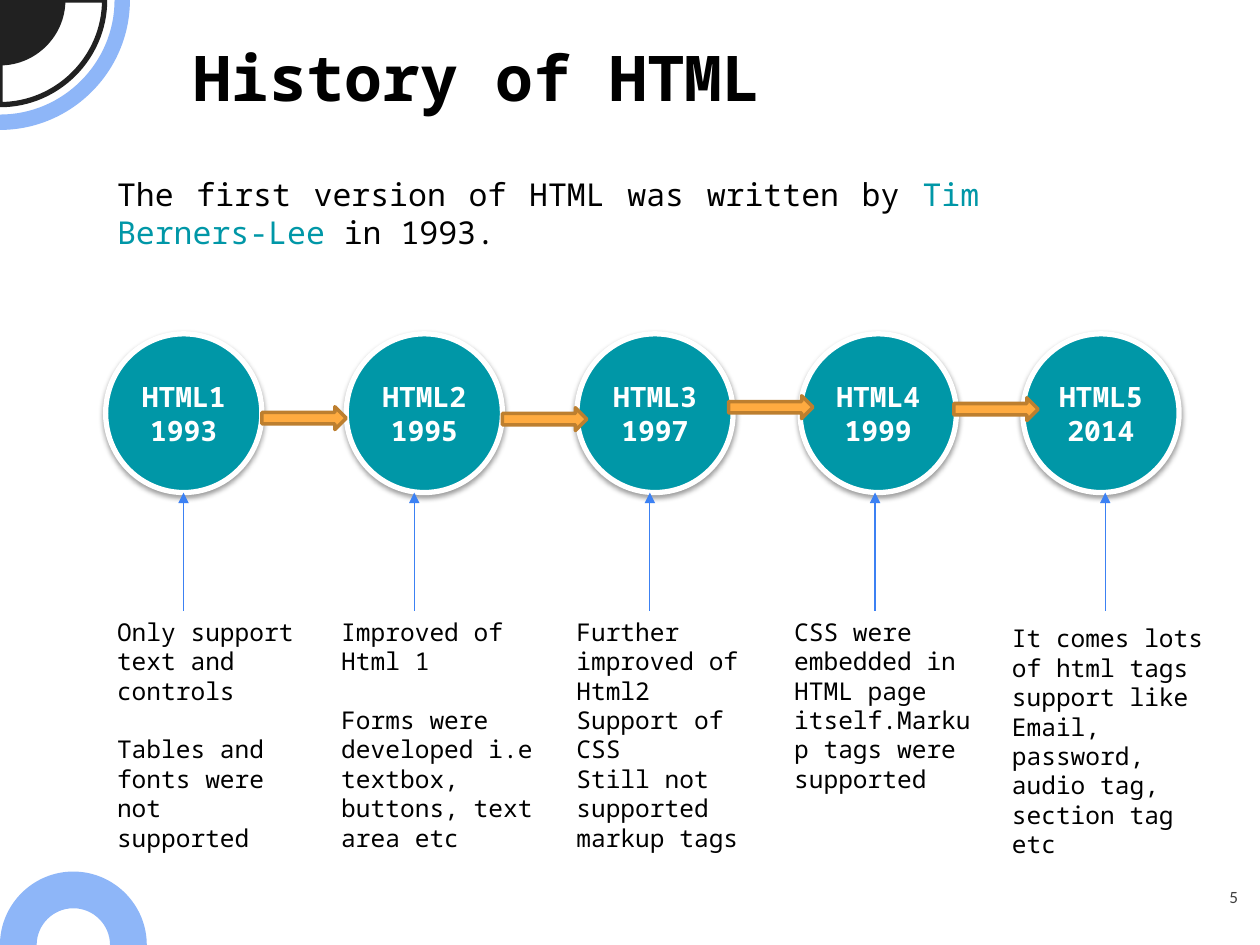
from dataclasses import dataclass
from math import cos, radians, sin

from lxml.etree import SubElement
from pptx import Presentation
from pptx.dml.color import RGBColor
from pptx.enum.shapes import MSO_CONNECTOR, MSO_SHAPE
from pptx.enum.text import MSO_ANCHOR, MSO_AUTO_SIZE, PP_ALIGN
from pptx.oxml.ns import qn
from pptx.util import Cm, Pt

BLACK = RGBColor(0x00, 0x00, 0x00)
WHITE = RGBColor(0xFF, 0xFF, 0xFF)
INK = RGBColor(0x21, 0x21, 0x21)
GREY = RGBColor(0x3F, 0x3F, 0x3F)
TEAL = RGBColor(0x00, 0x97, 0xA7)
SKY = RGBColor(0x8E, 0xB6, 0xF8)
BLUE = RGBColor(0x3C, 0x81, 0xF3)
AMBER = RGBColor(0xFF, 0xAB, 0x40)
BROWN = RGBColor(0xBD, 0x7F, 0x2F)
MONO = "Noto Sans Mono"

CIRCLE_TOP, CIRCLE_W, CIRCLE_H = 6.73, 3.15, 3.2
POINTER_TOP, POINTER_BOTTOM = 9.93, 12.31
QUARTER_HANDLE = 0.55  # Bézier handle of a quarter circle, in radii


@dataclass
class Version:
    name: str
    year: str
    circle_x: float
    pointer_x: float
    note_x: float
    note_w: float
    note_h: float
    note: list[str]
    note_y: float = POINTER_BOTTOM
    note_gap: float = 0


@dataclass
class Arrow:
    x: float
    y: float


VERSIONS = [
    Version("HTML1", "1993", 2.13, 3.7, 2.11, 4.19, 4.22,
            ["Only support text and controls",
             "Tables and fonts were not supported"], note_gap=16.8),
    Version("HTML2", "1995", 6.98, 8.35, 6.63, 4.75, 3.63,
            ["Improved of Html 1",
             "Forms were developed i.e textbox, buttons, text area etc"],
            note_gap=16.8),
    Version("HTML3", "1997", 11.63, 13.1, 11.37, 4.04, 4.22,
            ["Further improved of Html2", "Support of CSS",
             "Still not supported markup tags"]),
    Version("HTML4", "1999", 16.13, 17.64, 15.76, 4.24, 3.63,
            ["CSS were embedded in HTML page itself.Markup tags were supported"]),
    Version("HTML5", "2014", 20.62, 22.28, 20.15, 4.72, 3.63,
            ["It comes lots of html tags support like",
             "Email, password, audio tag, section tag etc"], note_y=12.44),
]
ARROWS = [Arrow(5.28, 8.2), Arrow(10.13, 8.22), Arrow(14.69, 7.98), Arrow(19.23, 8.02)]


def paint(sp, fill: RGBColor | None, line: RGBColor | None = None, width: float = 0) -> None:
    sp.shadow.inherit = False
    if fill is None:
        sp.fill.background()
    else:
        sp.fill.solid()
        sp.fill.fore_color.rgb = fill
    if line is None:
        sp.line.fill.background()
    else:
        sp.line.color.rgb = line
        sp.line.width = Pt(width)


def add_ring(s, cx: float, cy: float, outer: float, inner: float, start: int, end: int):
    """Ring sector of whole quarters, clockwise from the right; a pie if inner is 0."""
    def arc(radius: float, first: int, last: int) -> list[tuple[int, int]]:
        step = 90 if last > first else -90
        pull = QUARTER_HANDLE * step / 90

        def at(angle: int, along: float) -> tuple[int, int]:
            c, n = cos(radians(angle)), sin(radians(angle))
            return (Cm(cx + radius * (c - along * n)), Cm(cy + radius * (n + along * c)))

        points = [at(first, 0)]
        for a in range(first, last, step):
            points += [at(a, pull), at(a + step, -pull), at(a + step, 0)]
        return points

    rim = arc(outer, start, end)
    hole = arc(inner, end, start) if inner else [(Cm(cx), Cm(cy))]
    builder = s.shapes.build_freeform(*rim[0], scale=1.0)
    builder.add_line_segments(rim[1:] + hole, close=True)
    sp = builder.convert_to_shape()
    segments = list(sp._element.iter(qn("a:lnTo")))
    curve_to(segments[:len(rim) - 1])
    curve_to(segments[len(rim):len(rim) + len(hole) - 1])
    return sp


def curve_to(segments: list) -> None:
    """Turn each three line segments into one Bézier curve."""
    for i in range(0, len(segments), 3):
        first = segments[i]
        curve = first.getparent().makeelement(qn("a:cubicBezTo"))
        first.addprevious(curve)
        for segment in segments[i:i + 3]:
            curve.append(segment[0])
            segment.getparent().remove(segment)


def set_font(p, size: float, color: RGBColor | None, bold: bool = False,
             name: str = MONO) -> None:
    p.font.name, p.font.size, p.font.bold = name, Pt(size), bold
    if color is not None:
        p.font.color.rgb = color


def add_box(s, x: float, y: float, w: float, h: float):
    tf = s.shapes.add_textbox(Cm(x), Cm(y), Cm(w), Cm(h)).text_frame
    tf.word_wrap = True
    return tf


def add_lines(tf, lines: list[str]):
    tf.text = "\n".join(lines)
    return tf.paragraphs


def add_circle(s, v: Version) -> None:
    sp = s.shapes.add_shape(MSO_SHAPE.OVAL, Cm(v.circle_x), Cm(CIRCLE_TOP),
                            Cm(CIRCLE_W), Cm(CIRCLE_H))
    paint(sp, TEAL, WHITE, 3)
    effects = sp._element.spPr.find(qn("a:effectLst"))
    shadow = SubElement(effects, qn("a:outerShdw"), blurRad=str(Pt(3.1)),
                        dist=str(Pt(1.6)), dir="5400000", rotWithShape="0")
    color = SubElement(shadow, qn("a:srgbClr"), val=str(BLACK))
    SubElement(color, qn("a:alpha"), val="38000")
    sp.text_frame.vertical_anchor = MSO_ANCHOR.MIDDLE
    for p in add_lines(sp.text_frame, [v.name, v.year]):
        p.alignment = PP_ALIGN.CENTER
        set_font(p, 16, WHITE, bold=True)


def add_note(s, v: Version) -> None:
    tf = add_box(s, v.note_x, v.note_y, v.note_w, v.note_h)
    tf.auto_size = MSO_AUTO_SIZE.SHAPE_TO_FIT_TEXT
    for i, p in enumerate(add_lines(tf, v.note)):
        set_font(p, 14, BLACK)
        if i:
            p.space_before = Pt(v.note_gap)


def add_pointer(s, x: float) -> None:
    line = s.shapes.add_connector(MSO_CONNECTOR.STRAIGHT, Cm(x), Cm(POINTER_BOTTOM),
                                  Cm(x), Cm(POINTER_TOP))
    line.line.color.rgb = BLUE
    line.line.width = Pt(0.75)
    sp_pr = line._element.spPr
    SubElement(sp_pr.find(qn("a:ln")), qn("a:tailEnd"), type="triangle")
    SubElement(sp_pr, qn("a:effectLst"))


def add_arrow(s, arrow: Arrow) -> None:
    sp = s.shapes.add_shape(MSO_SHAPE.RIGHT_ARROW, Cm(arrow.x), Cm(arrow.y),
                            Cm(1.7), Cm(0.46))
    paint(sp, AMBER, BROWN, 2)


def add_decoration(s) -> None:
    paint(add_ring(s, 1.48, 19.05, 1.48, 0.74, 180, 360), SKY)
    paint(add_ring(s, 0, 0, 2.11, 0, 0, 90), None, INK, 3)
    paint(add_ring(s, 0, 0, 1.32, 0, 0, 90), INK)
    paint(add_ring(s, 0, 0, 2.62, 2.31, 0, 90), SKY)


def add_heading(s) -> None:
    tf = add_box(s, 3.72, 0.66, 17.65, 1.96)
    tf.vertical_anchor = MSO_ANCHOR.MIDDLE
    tf.margin_left = tf.margin_right = Cm(0.18)
    tf.margin_top = tf.margin_bottom = Cm(0.1)
    p = add_lines(tf, ["History of HTML"])[0]
    p.line_spacing = 0.9
    set_font(p, 36, BLACK, bold=True)

    tf = add_box(s, 2.11, 3.4, 17.88, 1.8)
    tf.auto_size = MSO_AUTO_SIZE.SHAPE_TO_FIT_TEXT
    p = tf.paragraphs[0]
    p.alignment = PP_ALIGN.JUSTIFY
    set_font(p, 18, None)
    for text, color in [("The first version of HTML was written by ", BLACK),
                        ("Tim Berners-Lee", TEAL), (" in 1993.", BLACK)]:
        r = p.add_run()
        r.text = text
        r.font.color.rgb = color


def add_page_number(s) -> None:
    tf = add_box(s, 23.77, 17.6, 1.52, 1.45)
    tf.margin_left = tf.margin_right = tf.margin_bottom = Cm(0.33)
    tf.margin_top = Cm(0.45)
    p = add_lines(tf, ["5"])[0]
    p.alignment = PP_ALIGN.RIGHT
    set_font(p, 9.8, GREY, name="Calibri")


def main() -> None:
    prs = Presentation()
    prs.slide_width, prs.slide_height = Cm(25.4), Cm(19.05)
    s = prs.slides.add_slide(prs.slide_layouts[6])
    add_page_number(s)
    add_heading(s)
    add_decoration(s)
    for v in VERSIONS:
        add_circle(s, v)
    for arrow in ARROWS:
        add_arrow(s, arrow)
    for v in VERSIONS:
        add_note(s, v)
        add_pointer(s, v.pointer_x)
    prs.save("out.pptx")


if __name__ == "__main__":
    main()
